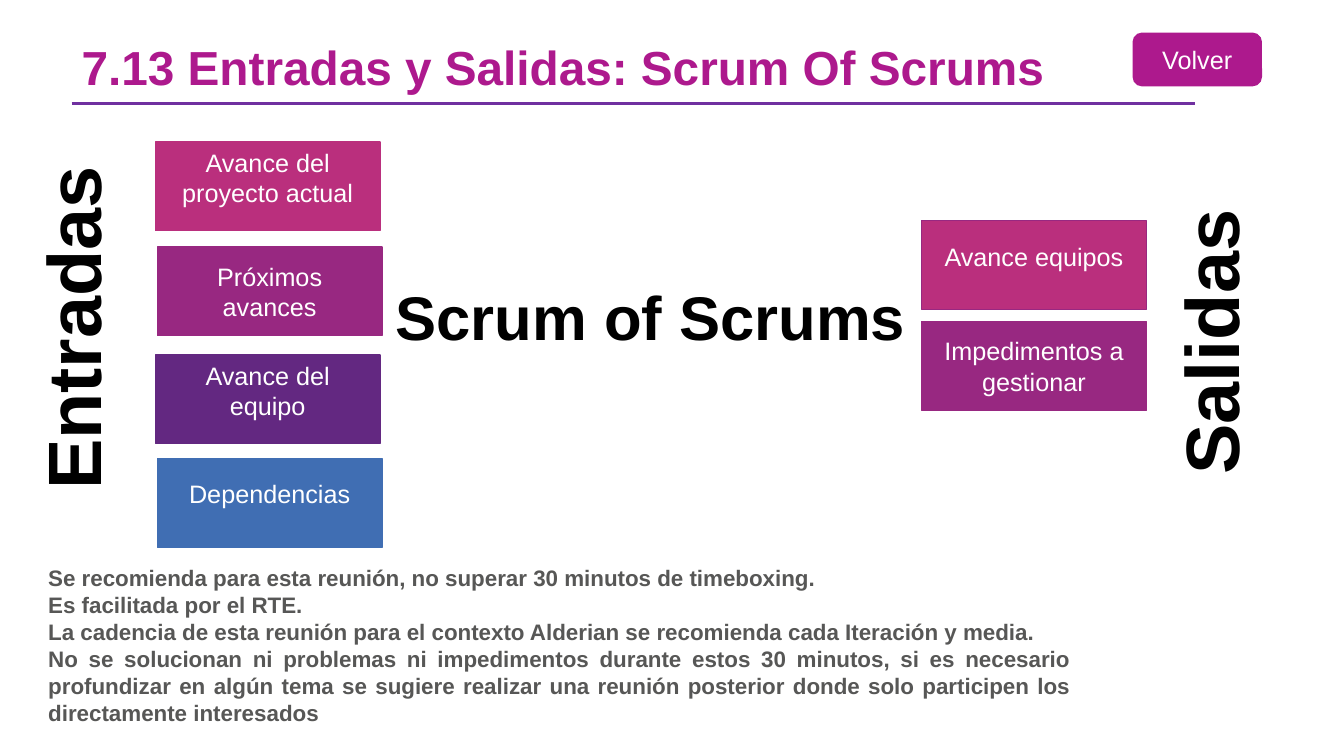
from dataclasses import dataclass

from lxml import etree
from pptx import Presentation
from pptx.dml.color import RGBColor
from pptx.enum import shapes, text
from pptx.oxml import ns
from pptx.util import Inches, Pt


@dataclass(frozen=True)
class Theme:
    font: str = "Arial"
    magenta: str = "AD198D"
    pink: str = "BA2F7D"
    plum: str = "982881"
    violet: str = "632881"
    blue: str = "406EB3"
    rule: str = "7030A0"
    gray: str = "575756"
    black: str = "000000"
    white: str = "FFFFFF"
    title_size: float = 34.1
    side_size: int = 54
    center_size: int = 44
    box_size: int = 18
    note_size: int = 16


theme = Theme()


def write(shape, *lines, size, color, bold=False, align=text.PP_ALIGN.CENTER,
          anchor=text.MSO_ANCHOR.MIDDLE, wrap=True, spacing=None):
    frame = shape.text_frame
    frame.word_wrap = wrap
    frame.vertical_anchor = anchor
    frame.auto_size = text.MSO_AUTO_SIZE.NONE
    for index, line in enumerate(lines):
        paragraph = frame.add_paragraph() if index else frame.paragraphs[0]
        paragraph.alignment = align
        paragraph.line_spacing = spacing
        run = paragraph.add_run()
        run.text = line
        run.font.name = theme.font
        run.font.size = Pt(size)
        run.font.bold = bold
        run.font.color.rgb = RGBColor.from_string(color)


def add_box(kind, left, top, width, height, label, fill, line, lift=0):
    shape = slide.shapes.add_shape(kind, Inches(left), Inches(top), Inches(width), Inches(height))
    shape.shadow.inherit = False
    shape.fill.solid()
    shape.fill.fore_color.rgb = RGBColor.from_string(fill)
    shape.line.color.rgb = RGBColor.from_string(line)
    shape.line.width = Pt(1)
    shape.text_frame.margin_left = shape.text_frame.margin_right = Inches(0.13)
    shape.text_frame.margin_bottom = Inches(0.05 + lift)
    write(shape, label, size=theme.box_size, color=theme.white)


presentation = Presentation()
presentation.slide_width = Inches(13.33)
presentation.slide_height = Inches(7.5)
slide = presentation.slides.add_slide(presentation.slide_layouts[5])

# Title and rule
title = slide.shapes.title
title.left, title.top = Inches(0.71), Inches(0.42)
title.width, title.height = Inches(10.33), Inches(0.61)
write(title, "7.13 Entradas y Salidas: Scrum Of Scrums", size=theme.title_size,
      color=theme.magenta, bold=True, align=text.PP_ALIGN.LEFT, spacing=0.7)

rule = slide.shapes.add_connector(shapes.MSO_CONNECTOR.STRAIGHT, Inches(0.71), Inches(1.03),
                                  Inches(11.85), Inches(1.03))
rule.line.color.rgb = RGBColor.from_string(theme.rule)
rule.line.width = Pt(2.25)
etree.SubElement(rule.element.spPr, ns.qn("a:effectLst"))

# Inputs and outputs; lift raises a label above the middle of its box
for left, top, label, fill, line, lift in [
    (1.54, 1.41, "Avance del proyecto actual", theme.pink, theme.pink, 0.18),
    (1.56, 2.45, "Próximos avances", theme.plum, theme.plum, 0),
    (1.54, 3.52, "Avance del equipo", theme.violet, theme.violet, 0.18),
    (1.56, 4.55, "Dependencias", theme.blue, theme.blue, 0.18),
    (9.14, 2.19, "Avance equipos", theme.pink, theme.plum, 0.18),
    (9.14, 3.19, "Impedimentos a gestionar", theme.plum, theme.plum, 0),
]:
    add_box(shapes.MSO_SHAPE.RECTANGLE, left, top, 2.23, 0.88, label, fill, line, lift)

# Large headings
for left, top, width, height, label, size, rotation in [
    (3.8, 2.72, 5.31, 0.84, "Scrum of Scrums", theme.center_size, 0),
    (-1.01, 2.75, 3.44, 1.01, "Entradas", theme.side_size, 270),
    (10.57, 2.89, 2.85, 1.01, "Salidas", theme.side_size, 270),
]:
    heading = slide.shapes.add_textbox(Inches(left), Inches(top), Inches(width), Inches(height))
    heading.rotation = rotation
    write(heading, label, size=size, color=theme.black, bold=True,
          anchor=text.MSO_ANCHOR.TOP, wrap=False)

# Recommendations
notes = slide.shapes.add_textbox(Inches(0.38), Inches(5.55), Inches(10.34), Inches(1.72))
write(
    notes,
    "Se recomienda para esta reunión, no superar 30 minutos de timeboxing.",
    "Es facilitada por el RTE.",
    "La cadencia de esta reunión para el contexto Alderian se recomienda cada Iteración y media.",
    "No se solucionan ni problemas ni impedimentos durante estos 30 minutos, si es necesario "
    "profundizar en algún tema se sugiere realizar una reunión posterior donde solo participen "
    "los directamente interesados",
    size=theme.note_size, color=theme.gray, bold=True,
    align=text.PP_ALIGN.JUSTIFY, anchor=text.MSO_ANCHOR.TOP)

# Back button
add_box(shapes.MSO_SHAPE.ROUNDED_RECTANGLE, 11.24, 0.33, 1.27, 0.52, "Volver",
        theme.magenta, theme.magenta)

presentation.save("out.pptx")
